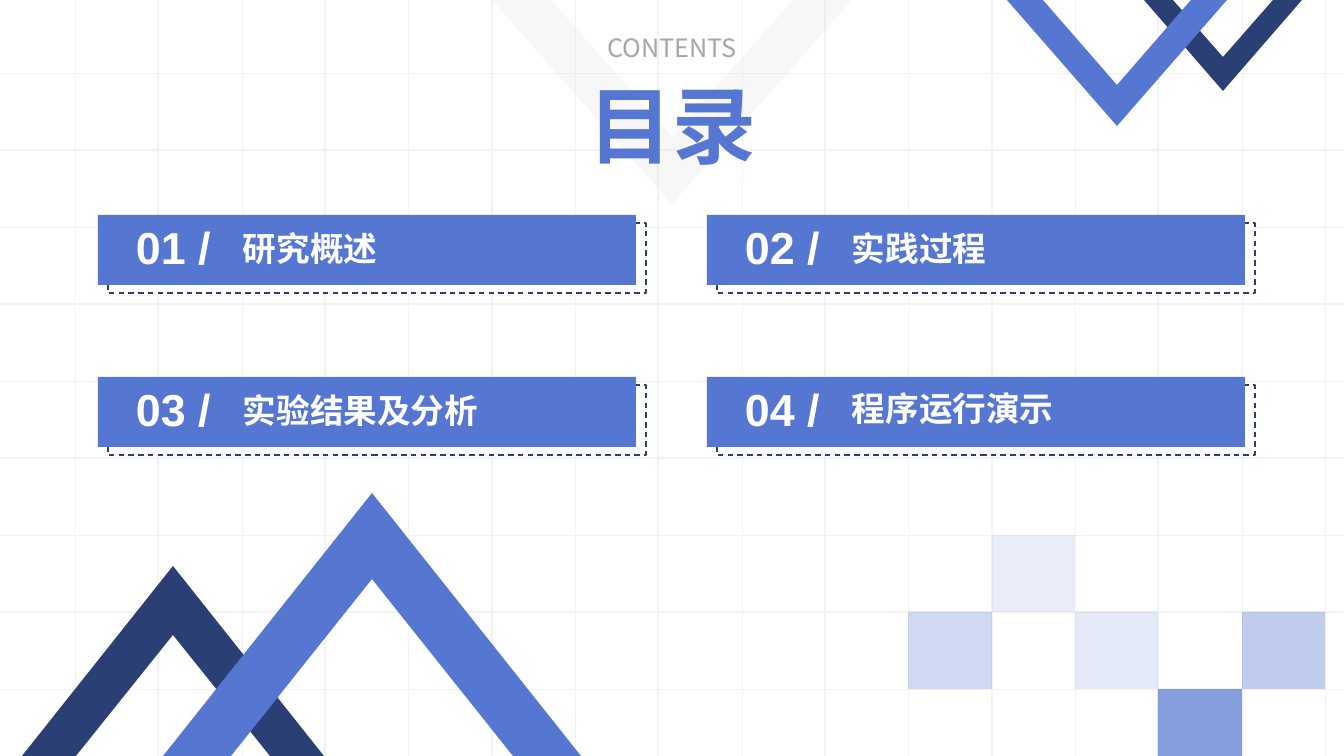
from dataclasses import dataclass

from lxml.etree import SubElement
from pptx import Presentation
from pptx.dml.color import RGBColor
from pptx.enum.dml import MSO_LINE
from pptx.enum.shapes import MSO_CONNECTOR, MSO_SHAPE
from pptx.enum.text import MSO_ANCHOR, MSO_AUTO_SIZE, PP_ALIGN
from pptx.oxml.ns import qn
from pptx.util import Pt

# Content
TITLE, SUBTITLE = "目录", "CONTENTS"
# number, label, drop of the label below the card top
CARDS = [("01 /", "研究概述", 8), ("02 /", "实践过程", 8),
         ("03 /", "实验结果及分析", 8), ("04 /", "程序运行演示", 6)]
# grid column, grid row, opacity in percent
TILES = [(10, 7, 28), (11, 6, 13), (12, 7, 15), (13, 8, 71), (14, 7, 37)]


@dataclass(frozen=True)
class Theme:
    blue: str = "5577D1"
    navy: str = "2A3F74"
    grid: str = "F2F2F2"
    pale: str = "D9D9D9"
    grey: str = "A6A6A6"
    white: str = "FFFFFF"
    latin: str = "Arial"
    cjk_sc: str = "Noto Sans CJK SC"
    cjk_jp: str = "Noto Sans CJK JP"
    title: int = 60
    number: int = 32
    label: int = 24
    subtitle: int = 18


T = Theme()
# centre, base, inner tip, outer tip, inner half width, outer half width, colour, opacity
CHEVRONS = [(672, 0, 137, 204, 121, 180, T.pale, 20),
            (1223, 0, 57, 91, 50, 79, T.navy, 100),
            (1117, 0, 85, 126, 74, 110, T.blue, 100),
            (173, 756, 635, 566, 97, 151, T.navy, 100),
            (372, 756, 579, 493, 141, 209, T.blue, 100)]

# Layout in px
W, H = 1344, 756
EMU = 12192000 / W
GRID_X, GRID_Y = 75, 73
STEP_X, STEP_Y = 250 / 3, 77
CARD_X, CARD_Y, CARD_W, CARD_H = 98, 215, 538, 70
CARD_DX, CARD_DY = 609, 162


def px(*values):
    return [round(v * EMU) for v in values]


def column(k):
    return round(GRID_X + k * STEP_X)


def row(k):
    return GRID_Y + k * STEP_Y


def paint(sp, color, opacity=100):
    sp.shadow.inherit = False
    sp.fill.solid()
    sp.fill.fore_color.rgb = RGBColor.from_string(color)
    if opacity < 100:
        clr = sp.fill._xPr.find(qn("a:solidFill"))[0]
        SubElement(clr, qn("a:alpha")).set("val", str(opacity * 1000))
    sp.line.fill.background()


def rect(s, x, y, w, h, color, opacity=100):
    sp = s.shapes.add_shape(MSO_SHAPE.RECTANGLE, *px(x, y, w, h))
    paint(sp, color, opacity)
    return sp


def grid_line(s, x1, y1, x2, y2, width):
    c = s.shapes.add_connector(MSO_CONNECTOR.STRAIGHT, *px(x1, y1, x2, y2))
    c.line.color.rgb = RGBColor.from_string(T.grid)
    c.line.width = Pt(width)
    SubElement(c._element.spPr, qn("a:effectLst"))


def chevron(s, cx, base, inner, outer, half_in, half_out, color, opacity):
    points = [(cx - half_out, base), (cx - half_in, base), (cx, inner),
              (cx + half_in, base), (cx + half_out, base), (cx, outer)]
    fb = s.shapes.build_freeform(*points[0], scale=EMU)
    fb.add_line_segments(points[1:], close=True)
    paint(fb.convert_to_shape(), color, opacity)


def write(sp, text, size, color, latin, cjk, bold=True, align=PP_ALIGN.LEFT):
    tf = sp.text_frame
    tf.word_wrap = True
    tf.auto_size = MSO_AUTO_SIZE.NONE
    tf.vertical_anchor = MSO_ANCHOR.TOP
    p = tf.paragraphs[0]
    p.alignment = align
    r = p.add_run()
    r.text = text
    r.font.size = Pt(size)
    r.font.bold = bold
    r.font.color.rgb = RGBColor.from_string(color)
    r.font.name = latin
    SubElement(r.font._element, qn("a:ea")).set("typeface", cjk)


def textbox(s, x, y, w, h, *args, **kwargs):
    write(s.shapes.add_textbox(*px(x, y, w, h)), *args, **kwargs)


def card(s, k, number, label, drop):
    x, y = CARD_X + k % 2 * CARD_DX, CARD_Y + k // 2 * CARD_DY
    frame = rect(s, x + 10, y + 8, CARD_W, CARD_H, T.white)
    frame.line.color.rgb = RGBColor.from_string(T.navy)
    frame.line.width = Pt(1)
    frame.line.dash_style = MSO_LINE.DASH
    rect(s, x, y, CARD_W, CARD_H, T.blue)
    textbox(s, x + 135, y + drop, 390, 50, label, T.label, T.white, T.cjk_jp, T.cjk_jp)
    textbox(s, x + 28, y, 114, 65, number, T.number, T.white, T.latin, T.cjk_sc)


def main():
    prs = Presentation()
    prs.slide_width, prs.slide_height = px(W, H)
    s = prs.slides.add_slide(prs.slide_layouts[5])

    # Background grid and tiles
    for k in range(9):
        grid_line(s, 0, row(k), W, row(k), 2 if k % 2 else 0.5)
    for k in range(16):
        thick = k % 2 and k < 15
        grid_line(s, column(k), 0, column(k), H, 2 if thick else 0.5)
    for c, r, opacity in TILES:
        x, y = column(c), row(r)
        rect(s, x, y, column(c + 1) - x, min(STEP_Y, H - y), T.blue, opacity)

    # Chevrons
    for shape in CHEVRONS:
        chevron(s, *shape)

    # Heading, brought in front of the pale chevron
    title = s.shapes.title
    title.left, title.top, title.width, title.height = px(528, 68, 288, 112)
    write(title, TITLE, T.title, T.blue, T.latin, T.cjk_sc, align=PP_ALIGN.CENTER)
    title._element.getparent().append(title._element)
    textbox(s, 528, 27, 288, 40, SUBTITLE, T.subtitle, T.grey, T.cjk_sc, T.cjk_sc,
            bold=False, align=PP_ALIGN.CENTER)

    # Contents cards
    for k, item in enumerate(CARDS):
        card(s, k, *item)

    prs.save("out.pptx")


if __name__ == "__main__":
    main()
